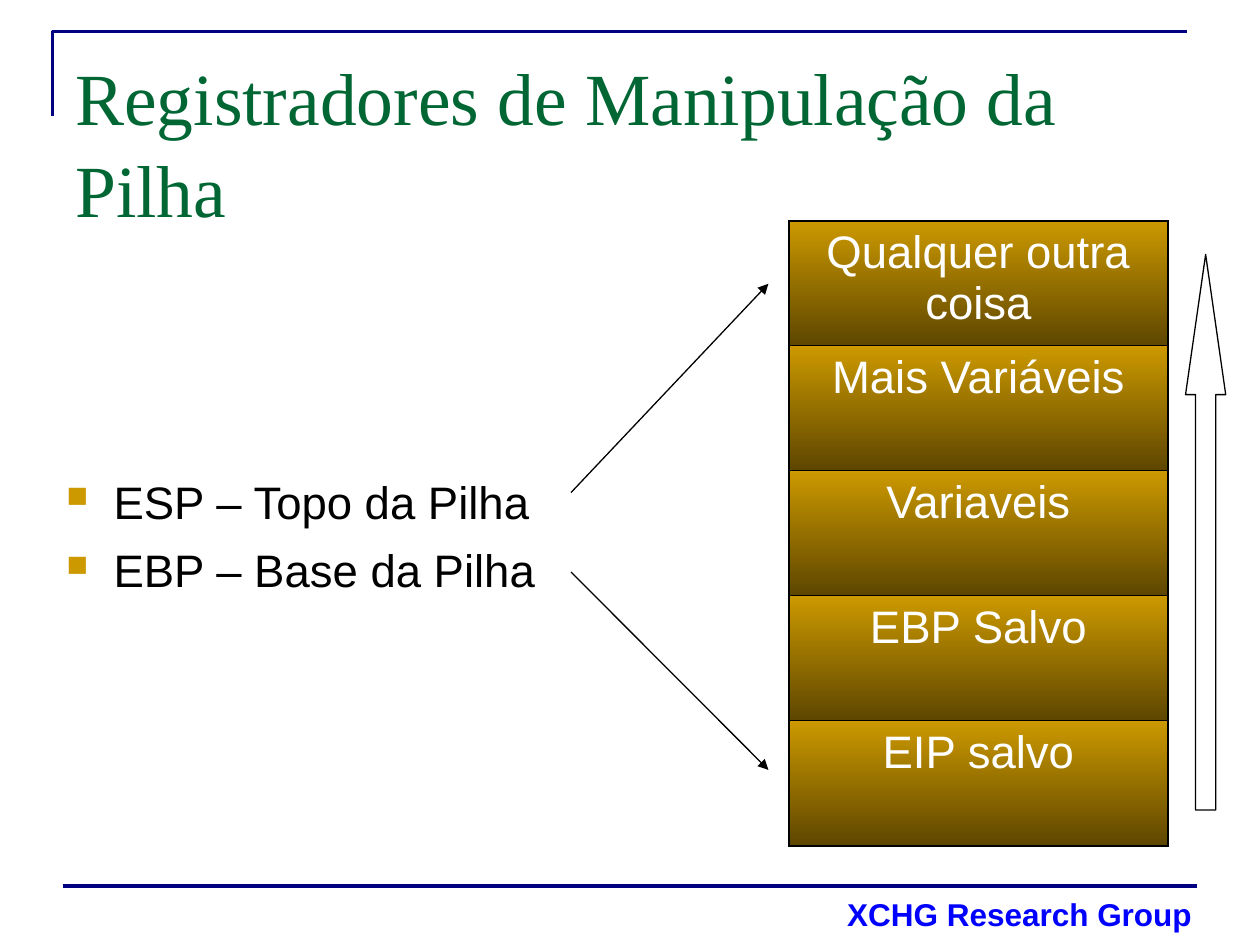
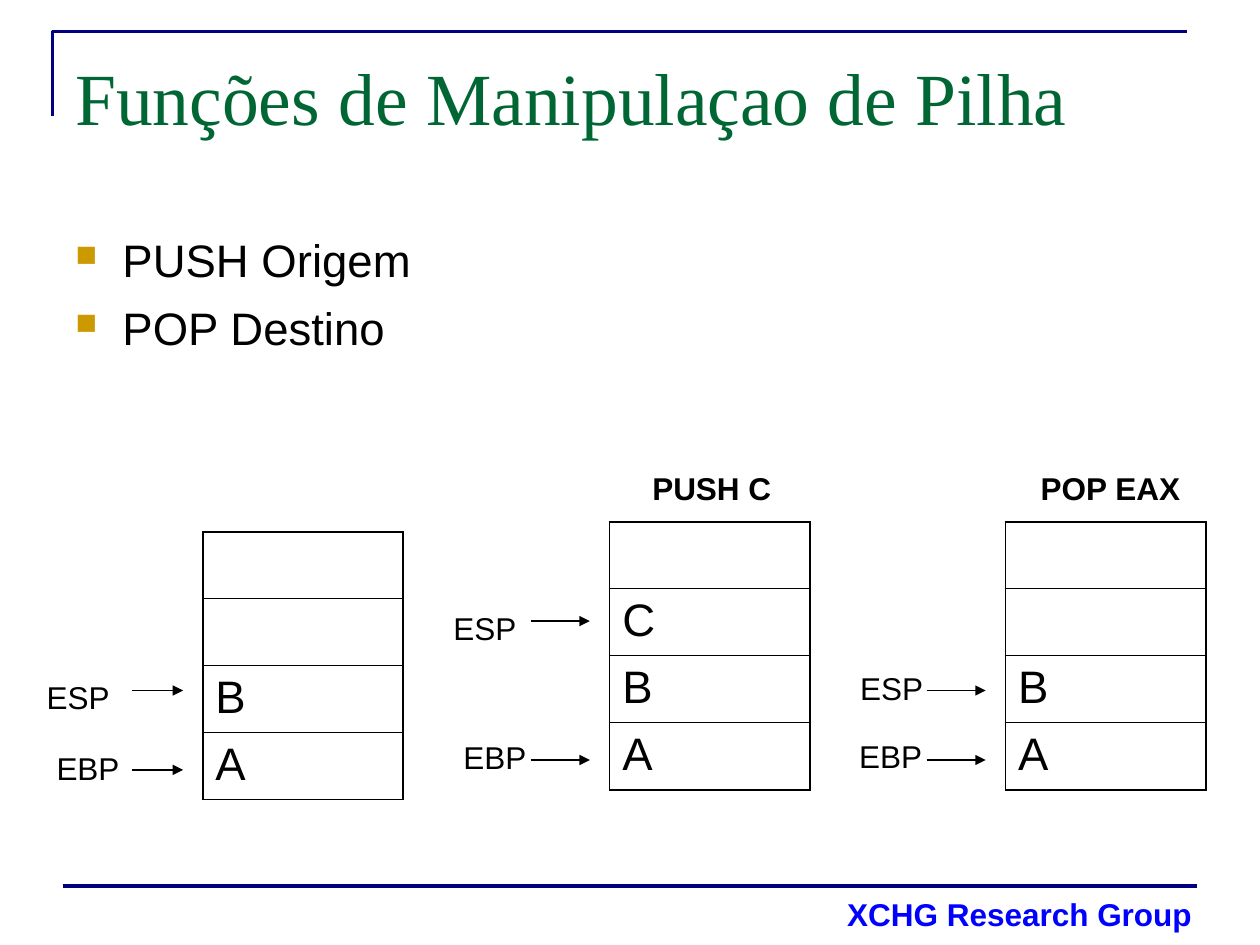
"""Builds two slides about stack registers and stack operations."""
from dataclasses import dataclass

from lxml.etree import SubElement
from pptx import Presentation
from pptx.dml.color import RGBColor as RGB
from pptx.enum.shapes import MSO_CONNECTOR as CONN, MSO_SHAPE as SHAPE
from pptx.enum.text import MSO_ANCHOR as ANCHOR, MSO_AUTO_SIZE as FIT, PP_ALIGN as ALIGN
from pptx.oxml.ns import qn
from pptx.util import Cm, Pt


@dataclass(frozen=True)
class Theme:
    """Colours, fonts and sizes shared by the slides."""
    navy: str = "000080"
    blue: str = "0000FF"
    green: str = "006633"
    gold: str = "CC9900"
    brown: str = "5E4600"
    black: str = "000000"
    white: str = "FFFFFF"
    serif: str = "Times New Roman"
    sans: str = "Arial"
    title: float = 42
    body: float = 26
    label: float = 18
    gap: float = 6.5
    spacing: float = 1.04
    outer: float = 1.08
    inner: float = 0.45
    thin: float = 0.75


def apply(target, values):
    """Set each named attribute on the target."""
    for name, value in values.items():
        setattr(target, name, value)


class Deck:
    """Holds the theme, the presentation and the current slide."""

    def __init__(self, theme):
        """Start an empty 4:3 presentation."""
        self.theme = theme
        self.prs = Presentation()
        apply(self.prs, {"slide_width": Cm(25.4), "slide_height": Cm(19.05)})
        self.s = None

    def slide(self, title):
        """Add a slide with its frame, footer and title."""
        t = self.theme
        self.s = self.prs.slides.add_slide(self.prs.slide_layouts[6])
        self.frame([(1.06, 2.34), (1.06, 0.64), (23.93, 0.64)])
        self.line((1.27, 17.86), (24.13, 17.86), t.navy, 2.75)
        self.text(["XCHG Research Group"], (0.89, 17.88, 23.39, 1.02),
                  self.font(t.label, t.blue, bold=True), ALIGN.RIGHT)
        self.text([title], (1.27, 0.86, 22.86, 3.18),
                  self.font(t.title, t.green, t.serif))

    def font(self, size, colour, name=None, bold=False):
        """Return the format values of a font."""
        return {"size": Pt(size), "name": name or self.theme.sans,
                "bold": bold, "colour": colour}

    def style(self, p, font):
        """Apply font format values to a paragraph's runs."""
        for r in p.runs:
            apply(r.font, {k: v for k, v in font.items() if k != "colour"})
            r.font.color.rgb = RGB.from_string(font["colour"])

    def text(self, lines, box, font, align=ALIGN.LEFT, bullets=False):
        """Add a text box with one paragraph per line."""
        tf = self.s.shapes.add_textbox(*map(Cm, box)).text_frame
        apply(tf, {"word_wrap": True, "auto_size": FIT.NONE,
                   "vertical_anchor": ANCHOR.TOP})
        tf.text = "\n".join(lines)
        for i, p in enumerate(tf.paragraphs):
            if bullets:
                self.bullet(p)
            apply(p, {"alignment": align, "line_spacing": self.theme.spacing,
                      "space_before": Pt(self.theme.gap if i else 0)})
            self.style(p, font)

    def bullet(self, p):
        """Give a paragraph a hanging square bullet."""
        pPr = p._p.get_or_add_pPr()
        pPr.set("marL", str(Cm(0.95)))
        pPr.set("indent", str(-Cm(0.95)))
        clr = SubElement(pPr, qn("a:buClr"))
        SubElement(clr, qn("a:srgbClr"), val=self.theme.gold)
        SubElement(pPr, qn("a:buSzPct"), val="65000")
        SubElement(pPr, qn("a:buChar"), char="■")

    def bullets(self, lines, box):
        """Add the bulleted body text."""
        self.text(lines, box, self.font(self.theme.body, self.theme.black), bullets=True)

    def label(self, text, left, top, width=3, bold=False):
        """Add a small caption."""
        t = self.theme
        self.text([text], (left, top, width, 1.02), self.font(t.label, t.black, bold=bold))

    def outline(self, sp, colour, width):
        """Set the line of a shape or connector."""
        sp.line.color.rgb = RGB.from_string(colour)
        sp.line.width = Pt(width)

    def frame(self, points):
        """Draw the open corner around the title."""
        start, *rest = [tuple(map(Cm, pt)) for pt in points]
        builder = self.s.shapes.build_freeform(*start)
        builder.add_line_segments(rest, close=False)
        sp = builder.convert_to_shape()
        sp.fill.background()
        sp.shadow.inherit = False
        self.outline(sp, self.theme.navy, 2)

    def line(self, start, end, colour, width, arrow=False):
        """Draw a straight line, with an arrowhead if asked."""
        c = self.s.shapes.add_connector(CONN.STRAIGHT, *map(Cm, start + end))
        self.outline(c, colour, width)
        if arrow:
            SubElement(c.line._get_or_add_ln(), qn("a:tailEnd"), type="triangle")
        SubElement(c._element.spPr, qn("a:effectLst"))

    def arrow(self, start, end):
        """Draw a thin black arrow."""
        self.line(start, end, self.theme.black, self.theme.thin, arrow=True)

    def up_arrow(self, box):
        """Draw the hollow arrow that shows the direction of growth."""
        sp = self.s.shapes.add_shape(SHAPE.UP_ARROW, *map(Cm, box))
        sp.adjustments[0], sp.adjustments[1] = 0.5, 3.49
        sp.fill.background()
        sp.shadow.inherit = False
        self.outline(sp, self.theme.black, self.theme.thin)

    def borders(self, cell, first, last):
        """Draw thick outer and thin inner borders on a cell."""
        t = self.theme
        widths = {"L": t.outer, "R": t.outer,
                  "T": t.outer if first else t.inner,
                  "B": t.outer if last else t.inner}
        tcPr = cell._tc.get_or_add_tcPr()
        for side, width in widths.items():
            ln = SubElement(tcPr, qn(f"a:ln{side}"), w=str(Pt(width)))
            fill = SubElement(ln, qn("a:solidFill"))
            SubElement(fill, qn("a:srgbClr"), val=t.black)

    def shade(self, fill):
        """Fill with the gradient from gold down to brown."""
        fill.gradient()
        fill.gradient_angle = 270
        for i, colour in enumerate((self.theme.gold, self.theme.brown)):
            stop = fill.gradient_stops[i]
            stop.color.rgb = RGB.from_string(colour)
            stop.position = i

    def stack(self, values, left, top, width, row, shaded=False):
        """Add a one-column table that shows a stack."""
        t = self.theme
        n = len(values)
        box = map(Cm, (left, top, width, row * n))
        table = self.s.shapes.add_table(n, 1, *box).table
        apply(table, {"first_row": False, "horz_banding": False})
        for i, value in enumerate(values):
            table.rows[i].height = Cm(row)
            cell = table.cell(i, 0)
            self.borders(cell, i == 0, i == n - 1)
            if shaded:
                self.shade(cell.fill)
            else:
                cell.fill.background()
            cell.text = value
            p = cell.text_frame.paragraphs[0]
            p.alignment = ALIGN.CENTER if shaded else ALIGN.LEFT
            self.style(p, self.font(t.body, t.white if shaded else t.black))


def registers(deck):
    """Build the slide on the stack registers."""
    deck.slide("Registradores de Manipulação da Pilha")
    deck.bullets(["ESP – Topo da Pilha", "EBP – Base da Pilha"], (1.09, 9.38, 11.23, 3.07))
    deck.stack(["Qualquer outra coisa", "Mais Variáveis", "Variaveis", "EBP Salvo",
                "EIP salvo"], 15.9, 4.45, 7.65, 2.52, shaded=True)
    deck.up_arrow((23.9, 5.13, 0.81, 11.2))
    deck.arrow((11.51, 9.93), (15.49, 5.72))
    deck.arrow((11.51, 11.53), (15.49, 15.52))


def operations(deck):
    """Build the slide on the stack operations."""
    deck.slide("Funções de Manipulaçao de Pilha")
    deck.bullets(["PUSH Origem", "POP Destino"], (1.27, 4.51, 11.23, 12.57))
    stacks = [
        (4.09, 10.72, ["", "", "B", "A"], 1.02,
         [("ESP", 0.69, 13.51, 13.92), ("EBP", 0.89, 14.94, 15.52)]),
        (12.29, 10.52, ["", "C", "B", "A"], 1.19,
         [("ESP", 8.89, 12.12, 12.52), ("EBP", 9.09, 14.73, 15.32)]),
        (20.27, 10.52, ["", "", "B", "A"], 1.19,
         [("ESP", 17.09, 13.34, 13.92), ("EBP", 17.07, 14.71, 15.32)]),
    ]
    for left, top, values, length, pointers in stacks:
        deck.stack(values, left, top, 4.04, 1.35)
        tip = left - 0.4
        for name, x, y, arrow_y in pointers:
            deck.label(name, x, y)
            deck.arrow((tip - length, arrow_y), (tip, arrow_y))
    deck.label("PUSH C", 12.9, 9.3, bold=True)
    deck.label("POP EAX", 20.73, 9.3, 3.38, bold=True)


def main():
    """Build and save the presentation."""
    deck = Deck(Theme())
    registers(deck)
    operations(deck)
    deck.prs.save("out.pptx")


if __name__ == "__main__":
    main()
